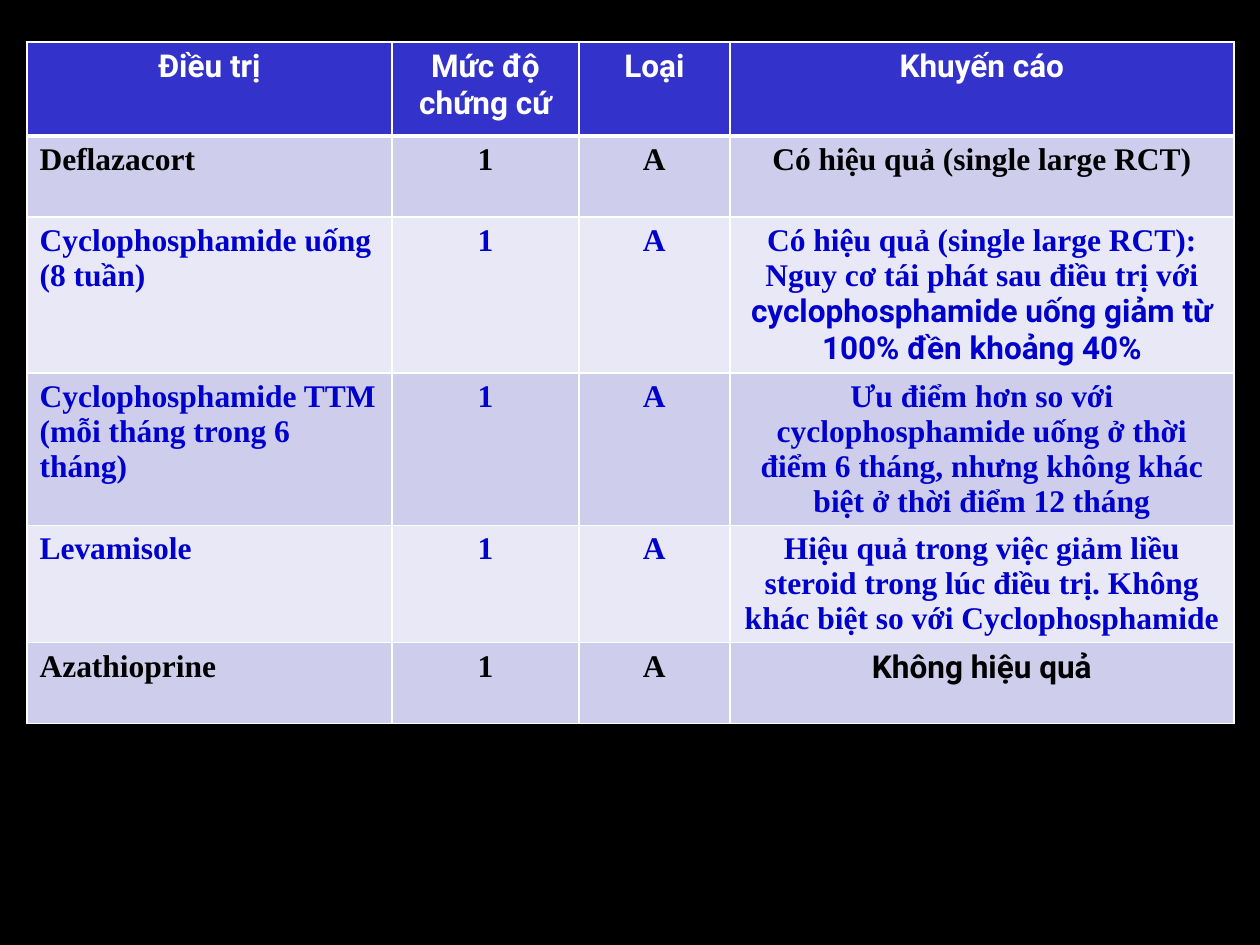
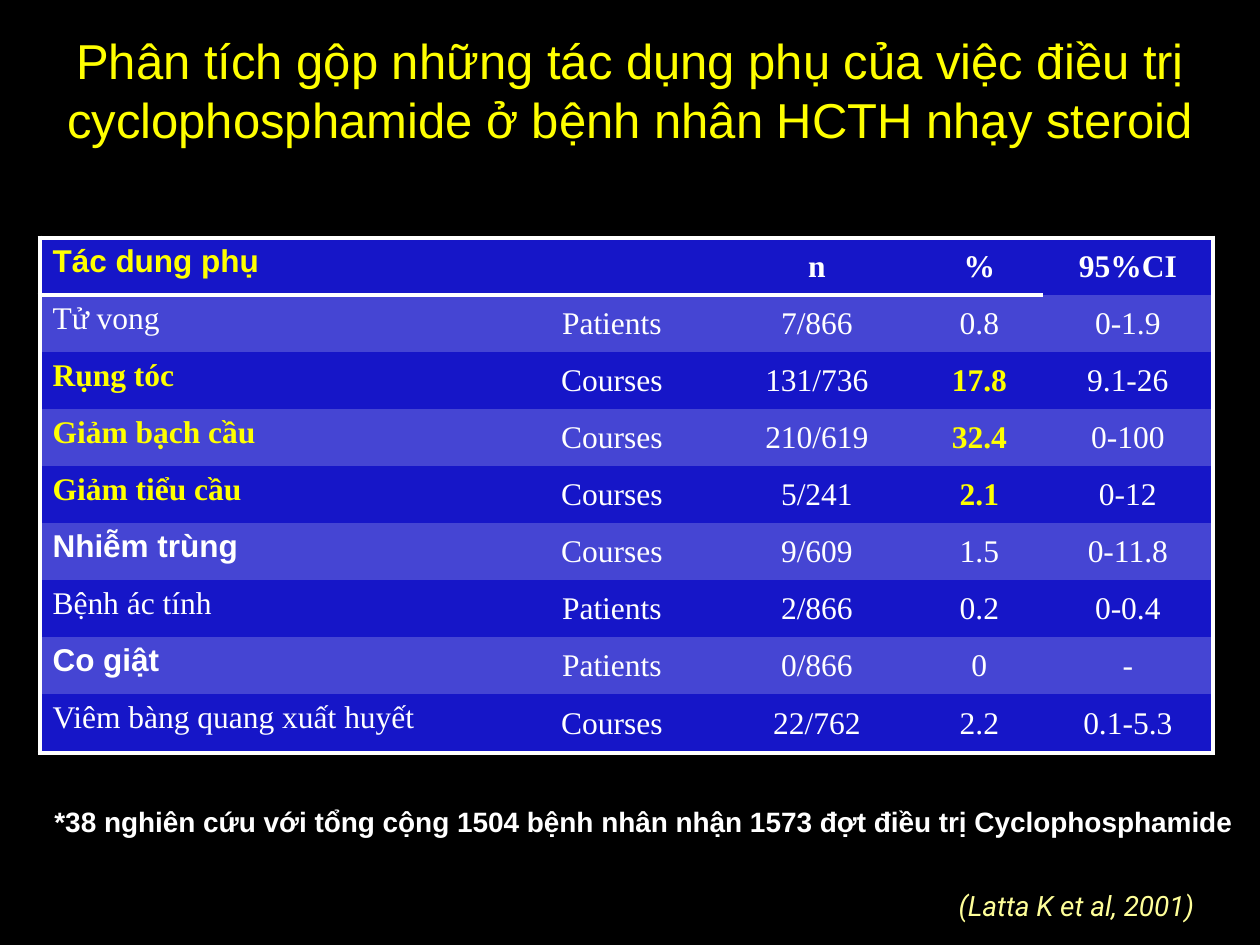
from dataclasses import dataclass

import pptx
import pptx.dml.color
import pptx.enum.text
import pptx.oxml
import pptx.oxml.ns
import pptx.presentation
import pptx.shapes.base
import pptx.slide
import pptx.table
import pptx.text.text
import pptx.util

RGBColor = pptx.dml.color.RGBColor
Align = pptx.enum.text.PP_ALIGN
Anchor = pptx.enum.text.MSO_ANCHOR

PX = 914400 / 126
SLIDE_WIDTH, SLIDE_HEIGHT = 1260, 945
NO_STYLE_ID = "{2D5ABB26-0587-4C30-8999-92F81FD0307C}"

BLACK = RGBColor(0x00, 0x00, 0x00)
WHITE = RGBColor(0xFF, 0xFF, 0xFF)
YELLOW = RGBColor(0xFF, 0xFF, 0x00)
PALE_YELLOW = RGBColor(0xFF, 0xFF, 0x99)
TEXT_BLUE = RGBColor(0x00, 0x00, 0xCC)
HEADER_BLUE = RGBColor(0x33, 0x33, 0xCC)
LAVENDER = RGBColor(0xCE, 0xCE, 0xEC)
PALE_LAVENDER = RGBColor(0xE8, 0xE8, 0xF6)
DEEP_BLUE = RGBColor(0x16, 0x16, 0xC8)
MID_BLUE = RGBColor(0x45, 0x45, 0xD3)

SERIF = "Times New Roman"
SANS = "Arial"
ROBOTO = "Roboto"


@dataclass(frozen=True)
class TextStyle:
    font: str
    colour: RGBColor
    size: int = 18
    bold: bool = False
    italic: bool = False


@dataclass(frozen=True)
class Box:
    left: int
    top: int
    width: int
    height: int


@dataclass(frozen=True)
class TextRun:
    text: str
    style: TextStyle


@dataclass(frozen=True)
class Treatment:
    name: str
    advice: tuple[TextRun, ...]
    style: TextStyle


@dataclass(frozen=True)
class SideEffect:
    name: str
    name_style: TextStyle
    unit: str
    count: str
    percent: str
    interval: str
    percent_style: TextStyle


TITLE = TextStyle(SANS, YELLOW, size=28)
NOTE = TextStyle(SANS, WHITE, size=16, bold=True)
CITATION = TextStyle(ROBOTO, PALE_YELLOW, size=16, italic=True)
EVIDENCE_HEADER = TextStyle(ROBOTO, WHITE, bold=True)
BLACK_SERIF = TextStyle(SERIF, BLACK, bold=True)
BLACK_ROBOTO = TextStyle(ROBOTO, BLACK, bold=True)
BLUE_SERIF = TextStyle(SERIF, TEXT_BLUE, bold=True)
BLUE_ROBOTO = TextStyle(ROBOTO, TEXT_BLUE, bold=True)
PLAIN = TextStyle(SERIF, WHITE)
PLAIN_BOLD = TextStyle(SERIF, WHITE, bold=True)
ALERT = TextStyle(SERIF, YELLOW, bold=True)
ALERT_SANS = TextStyle(SANS, YELLOW, bold=True)
SANS_BOLD = TextStyle(SANS, WHITE, bold=True)

EVIDENCE_HEADINGS = ("Điều trị", "Mức độ chứng cứ", "Loại", "Khuyến cáo")
TREATMENTS = (
    Treatment("Deflazacort", (TextRun("Có hiệu quả (single large RCT)", BLACK_SERIF),), BLACK_SERIF),
    Treatment(
        "Cyclophosphamide uống (8 tuần)",
        (
            TextRun("Có hiệu quả (single large RCT): Nguy cơ tái phát sau điều trị với ", BLUE_SERIF),
            TextRun("cyclophosphamide uống giảm từ 100% đền khoảng 40%", BLUE_ROBOTO),
        ),
        BLUE_SERIF,
    ),
    Treatment(
        "Cyclophosphamide TTM (mỗi tháng trong 6 tháng)",
        (
            TextRun(
                "Ưu điểm hơn so với cyclophosphamide uống ở thời điểm 6 tháng, "
                "nhưng không khác biệt ở thời điểm 12 tháng",
                BLUE_SERIF,
            ),
        ),
        BLUE_SERIF,
    ),
    Treatment(
        "Levamisole",
        (
            TextRun(
                "Hiệu quả trong việc giảm liều steroid trong lúc điều trị. "
                "Không khác biệt so với Cyclophosphamide",
                BLUE_SERIF,
            ),
        ),
        BLUE_SERIF,
    ),
    Treatment("Azathioprine", (TextRun("Không hiệu quả", BLACK_ROBOTO),), BLACK_SERIF),
)

SIDE_EFFECTS = (
    SideEffect("Tác dung phụ", ALERT_SANS, "", "n", "%", "95%CI", PLAIN_BOLD),
    SideEffect("Tử vong", PLAIN, "Patients", "7/866", "0.8", "0-1.9", PLAIN),
    SideEffect("Rụng tóc", ALERT, "Courses", "131/736", "17.8", "9.1-26", ALERT),
    SideEffect("Giảm bạch cầu", ALERT, "Courses", "210/619", "32.4", "0-100", ALERT),
    SideEffect("Giảm tiểu cầu", ALERT, "Courses", "5/241", "2.1", "0-12", ALERT),
    SideEffect("Nhiễm trùng", SANS_BOLD, "Courses", "9/609", "1.5", "0-11.8", PLAIN),
    SideEffect("Bệnh ác tính", PLAIN, "Patients", "2/866", "0.2", "0-0.4", PLAIN),
    SideEffect("Co giật", SANS_BOLD, "Patients", "0/866", "0", "-", PLAIN),
    SideEffect("Viêm bàng quang xuất huyết", PLAIN, "Courses", "22/762", "2.2", "0.1-5.3", PLAIN),
)


def px(length: int) -> pptx.util.Emu:
    return pptx.util.Emu(round(length * PX))


def emu_box(box: Box) -> tuple[pptx.util.Emu, ...]:
    return px(box.left), px(box.top), px(box.width), px(box.height)


def write_runs(text_frame: pptx.text.text.TextFrame, runs: tuple[TextRun, ...], align: Align) -> None:
    paragraph = text_frame.paragraphs[0]
    paragraph.alignment = align
    for text_run in runs:
        run = paragraph.add_run()
        run.text = text_run.text
        style = text_run.style
        run.font.name = style.font
        run.font.size = pptx.util.Pt(style.size)
        run.font.bold = style.bold
        run.font.italic = style.italic
        run.font.color.rgb = style.colour


def add_text(slide: pptx.slide.Slide, box: Box, text_run: TextRun, align: Align) -> None:
    text_frame = slide.shapes.add_textbox(*emu_box(box)).text_frame
    text_frame.word_wrap = True
    write_runs(text_frame, (text_run,), align)


def add_plain_table(
    slide: pptx.slide.Slide, left: int, top: int, widths: tuple[int, ...], heights: tuple[int, ...]
) -> pptx.table.Table:
    box = Box(left, top, sum(widths), sum(heights))
    frame = slide.shapes.add_table(len(heights), len(widths), *emu_box(box))
    for style_id in frame.element.iter(pptx.oxml.ns.qn("a:tableStyleId")):
        style_id.text = NO_STYLE_ID
    table = frame.table
    for column, width in zip(table.columns, widths):
        column.width = px(width)
    for row, height in zip(table.rows, heights):
        row.height = px(height)
    return table


def format_cell(cell: pptx.table._Cell, fill: RGBColor, borders: dict[str, int]) -> None:
    properties = cell._tc.get_or_add_tcPr()
    namespace = pptx.oxml.ns.nsdecls("a")
    for side in "LRTB":
        points = borders.get(side, 0)
        paint = f'<a:solidFill><a:srgbClr val="{WHITE}"/></a:solidFill>' if points else "<a:noFill/>"
        properties.append(
            pptx.oxml.parse_xml(f'<a:ln{side} {namespace} w="{pptx.util.Pt(points)}">{paint}</a:ln{side}>')
        )
    cell.fill.solid()
    cell.fill.fore_color.rgb = fill


def build_evidence_slide(presentation: pptx.presentation.Presentation) -> None:
    slide = presentation.slides.add_slide(presentation.slide_layouts[6])
    table = add_plain_table(slide, 27, 42, (365, 187, 151, 504), (94, 81, 78, 81, 81, 81))
    rows = [tuple((TextRun(heading, EVIDENCE_HEADER),) for heading in EVIDENCE_HEADINGS)]
    for treatment in TREATMENTS:
        labels = (treatment.name, "1", "A")
        rows.append((*((TextRun(label, treatment.style),) for label in labels), treatment.advice))
    for row_index, row in enumerate(rows):
        is_header = row_index == 0
        fill = HEADER_BLUE if is_header else (PALE_LAVENDER, LAVENDER)[row_index % 2]
        borders = {"L": 1, "R": 1, "T": 3 if row_index == 1 else 1, "B": 3 if is_header else 1}
        for column_index, runs in enumerate(row):
            cell = table.cell(row_index, column_index)
            is_name = column_index == 0 and not is_header
            write_runs(cell.text_frame, runs, Align.LEFT if is_name else Align.CENTER)
            format_cell(cell, fill, borders)


def side_effect_borders(row_index: int, column_index: int, last_column: int) -> dict[str, int]:
    has_header_rule = column_index < last_column
    sides = {
        "L": column_index == 0,
        "R": column_index == last_column,
        "T": row_index == 0 or (row_index == 1 and has_header_rule),
        "B": row_index == len(SIDE_EFFECTS) - 1 or (row_index == 0 and has_header_rule),
    }
    return {side: 3 for side, is_drawn in sides.items() if is_drawn}


def build_side_effects_slide(presentation: pptx.presentation.Presentation) -> None:
    slide = presentation.slides.add_slide(presentation.slide_layouts[5])
    title = slide.shapes.title
    title.left, title.top, title.width, title.height = emu_box(Box(0, 10, SLIDE_WIDTH, 158))
    title.text_frame.vertical_anchor = Anchor.MIDDLE
    title_text = (
        "Phân tích gộp những tác dụng phụ của việc điều trị "
        "cyclophosphamide ở bệnh nhân HCTH nhạy steroid"
    )
    write_runs(title.text_frame, (TextRun(title_text, TITLE),), Align.CENTER)

    widths = (466, 212, 198, 127, 170)
    table = add_plain_table(slide, 40, 238, widths, (57,) * 8 + (59,))
    for row_index, effect in enumerate(SIDE_EFFECTS):
        style = PLAIN if row_index else PLAIN_BOLD
        row = (
            TextRun(effect.name, effect.name_style),
            TextRun(effect.unit, style),
            TextRun(effect.count, style),
            TextRun(effect.percent, effect.percent_style),
            TextRun(effect.interval, style),
        )
        for column_index, text_run in enumerate(row):
            cell = table.cell(row_index, column_index)
            if text_run.text:
                write_runs(cell.text_frame, (text_run,), Align.CENTER if column_index else Align.LEFT)
            cell.vertical_anchor = Anchor.MIDDLE if column_index else Anchor.TOP
            borders = side_effect_borders(row_index, column_index, len(row) - 1)
            format_cell(cell, (DEEP_BLUE, MID_BLUE)[row_index % 2], borders)

    note = "*38 nghiên cứu với tổng cộng 1504 bệnh nhân nhận 1573 đợt điều trị Cyclophosphamide"
    add_text(slide, Box(42, 798, 1207, 47), TextRun(note, NOTE), Align.LEFT)
    add_text(slide, Box(903, 882, 347, 47), TextRun("(Latta K et al, 2001)", CITATION), Align.CENTER)


def main() -> None:
    presentation = pptx.Presentation()
    presentation.slide_width = px(SLIDE_WIDTH)
    presentation.slide_height = px(SLIDE_HEIGHT)
    background = presentation.slide_master.background.fill
    background.solid()
    background.fore_color.rgb = BLACK
    build_evidence_slide(presentation)
    build_side_effects_slide(presentation)
    presentation.save("out.pptx")


if __name__ == "__main__":
    main()
